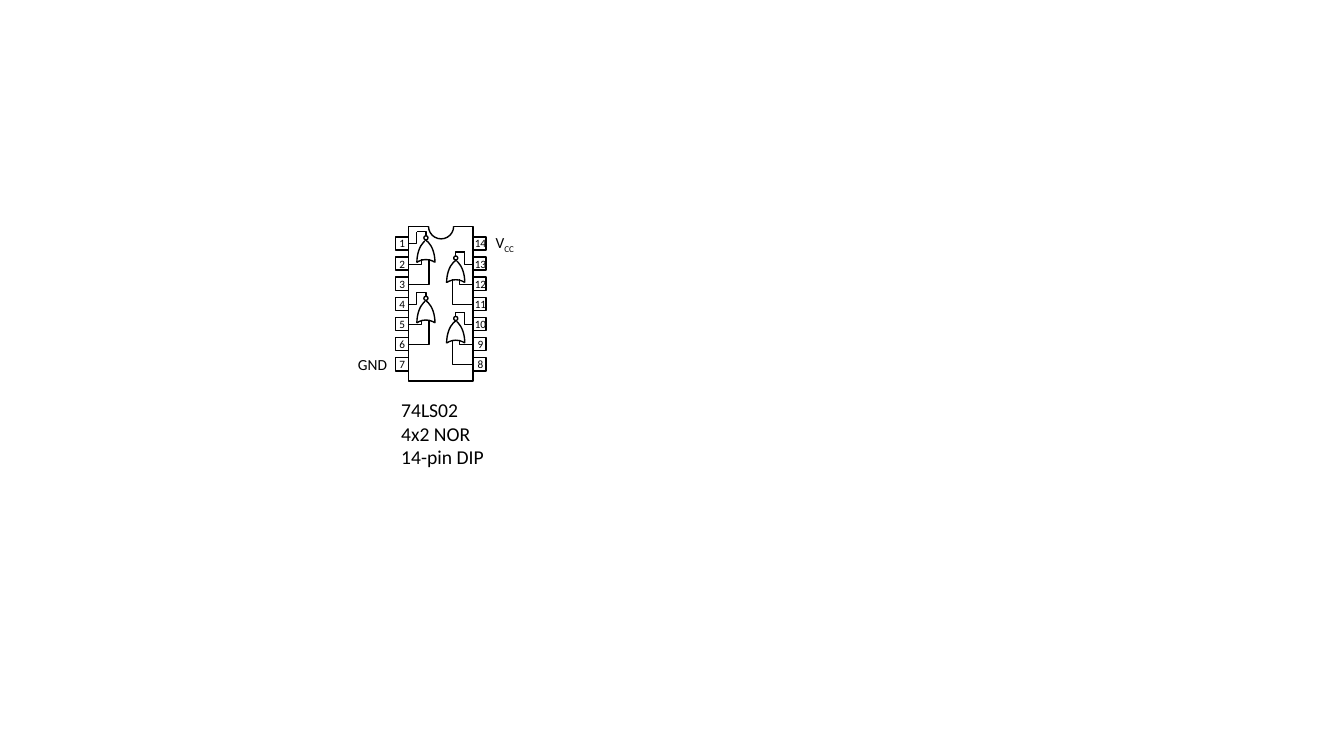
from pptx import Presentation
from pptx.dml.color import RGBColor
from pptx.enum.shapes import MSO_SHAPE
from pptx.enum.text import MSO_AUTO_SIZE, PP_ALIGN
from pptx.util import Inches, Pt

RECT, ARC, OVAL = MSO_SHAPE.RECTANGLE, MSO_SHAPE.ARC, MSO_SHAPE.OVAL
CENTER, LEFT = PP_ALIGN.CENTER, PP_ALIGN.LEFT
GROW = MSO_AUTO_SIZE.SHAPE_TO_FIT_TEXT
BLACK, WHITE = "000000", "FFFFFF"
PIN_ROWS, PIN_PITCH = 7, 0.2
MIRROR_SUM = 8.745
GATE_WIRES_OUT = [
    [(4.52, 0.05), (4.52, 0), (4.61, 0)],
    [(4.61, 0), (4.61, 0.12), (4.69, 0.12)],
]
GATE_WIRES_IN = [
    [(4.56, 0.27), (4.56, 0.32), (4.69, 0.32)],
    [(4.49, 0.27), (4.49, 0.52), (4.69, 0.52)],
]
GATE_PARTS = [
    (ARC, (4.24, 0.17, 0.47, 0.27), True, (162, 209.867)),
    (ARC, (4.33, 0.17, 0.47, 0.27), False, (162, 209.867)),
    (ARC, (4.41, 0.25, 0.22, 0.27), True, (187.882, 27.644)),
    (OVAL, (4.5, 0.04, 0.04, 0.04), True, ()),
]


def color(hex_value):
    return RGBColor.from_string(hex_value)


def paint(s, fill, line, width=1):
    s.shadow.inherit = False
    if fill:
        s.fill.solid()
        s.fill.fore_color.rgb = color(fill)
    else:
        s.fill.background()
    if line:
        s.line.color.rgb = color(line)
        s.line.width = Pt(width)
    else:
        s.line.fill.background()


def add_shape(shapes, kind, box, fill=None, line=BLACK, adjustments=()):
    s = shapes.add_shape(kind, *[Inches(v) for v in box])
    for i, value in enumerate(adjustments):
        s.adjustments[i] = value
    paint(s, fill, line)
    return s


def add_label(shapes, box, lines, size, align=CENTER):
    tf = shapes.add_textbox(*[Inches(v) for v in box]).text_frame
    tf.word_wrap = align == LEFT
    tf.auto_size = GROW
    for i, runs in enumerate(lines):
        p = tf.add_paragraph() if i else tf.paragraphs[0]
        p.alignment = align
        for text, baseline in runs:
            r = p.add_run()
            r.text = text
            r.font.name = "Calibri"
            r.font.size = Pt(size)
            r.font.color.rgb = color(BLACK)
            if baseline:
                r.font._element.set("baseline", str(baseline))


def add_wire(shapes, points):
    (x, y), *rest = [(Inches(px), Inches(py)) for px, py in points]
    builder = shapes.build_freeform(x, y)
    builder.add_line_segments(rest, close=False)
    paint(builder.convert_to_shape(), None, BLACK, 0.75)


def add_gate(shapes, top, mirrored):
    gate = shapes.add_group_shape().shapes

    def add_wires(wires):
        for points in wires:
            add_wire(gate, [(MIRROR_SUM - x if mirrored else x, top + y) for x, y in points])

    add_wires(GATE_WIRES_OUT)
    for kind, (x, y, w, h), flip_v, adjustments in GATE_PARTS:
        left = MIRROR_SUM - x - w if mirrored else x
        s = add_shape(gate, kind, (left, top + y, w, h), WHITE, BLACK, adjustments)
        s.rotation = 90 if mirrored else 270
        xfrm = s._element.spPr.xfrm
        if mirrored:
            xfrm.set("flipH", "1")
        if flip_v:
            xfrm.set("flipV", "1")
    add_wires(GATE_WIRES_IN)


def add_package(shapes):
    chip = shapes.add_group_shape().shapes
    for row in range(PIN_ROWS):
        add_shape(chip, RECT, (3.92, 2.35 + row * PIN_PITCH, 0.9, 0.13))
    add_shape(chip, RECT, (4.05, 2.25, 0.64, 1.53), WHITE)
    add_shape(chip, RECT, (4.25, 2.19, 0.25, 0.11), WHITE, None)
    add_shape(chip, ARC, (4.25, 2.12, 0.25, 0.25), adjustments=(0.036, 108))
    for row in range(PIN_ROWS):
        y = 2.3 + row * PIN_PITCH
        add_label(chip, (4.57, y, 0.39, 0.24), [[(str(2 * PIN_ROWS - row), 0)]], 8)
        add_label(chip, (3.81, y, 0.36, 0.24), [[(str(row + 1), 0)]], 8)


def main():
    prs = Presentation()
    prs.slide_width, prs.slide_height = Inches(13.33), Inches(7.5)
    shapes = prs.slides.add_slide(prs.slide_layouts[6]).shapes
    add_package(shapes)
    add_label(shapes, (4.78, 2.26, 0.45, 0.29), [[("V", 0), ("CC", -25000)]], 11)
    add_label(shapes, (3.44, 3.47, 0.51, 0.29), [[("GND", 0)]], 11)
    caption = ["74LS02", "4x2 NOR", "14-pin DIP"]
    add_label(shapes, (3.88, 3.9, 1.25, 0.81), [[(text, 0)] for text in caption], 14, LEFT)
    for top, mirrored in [(3.1, False), (2.5, False), (2.9, True), (2.3, True)]:
        add_gate(shapes, top, mirrored)
    prs.save("out.pptx")


if __name__ == "__main__":
    main()
